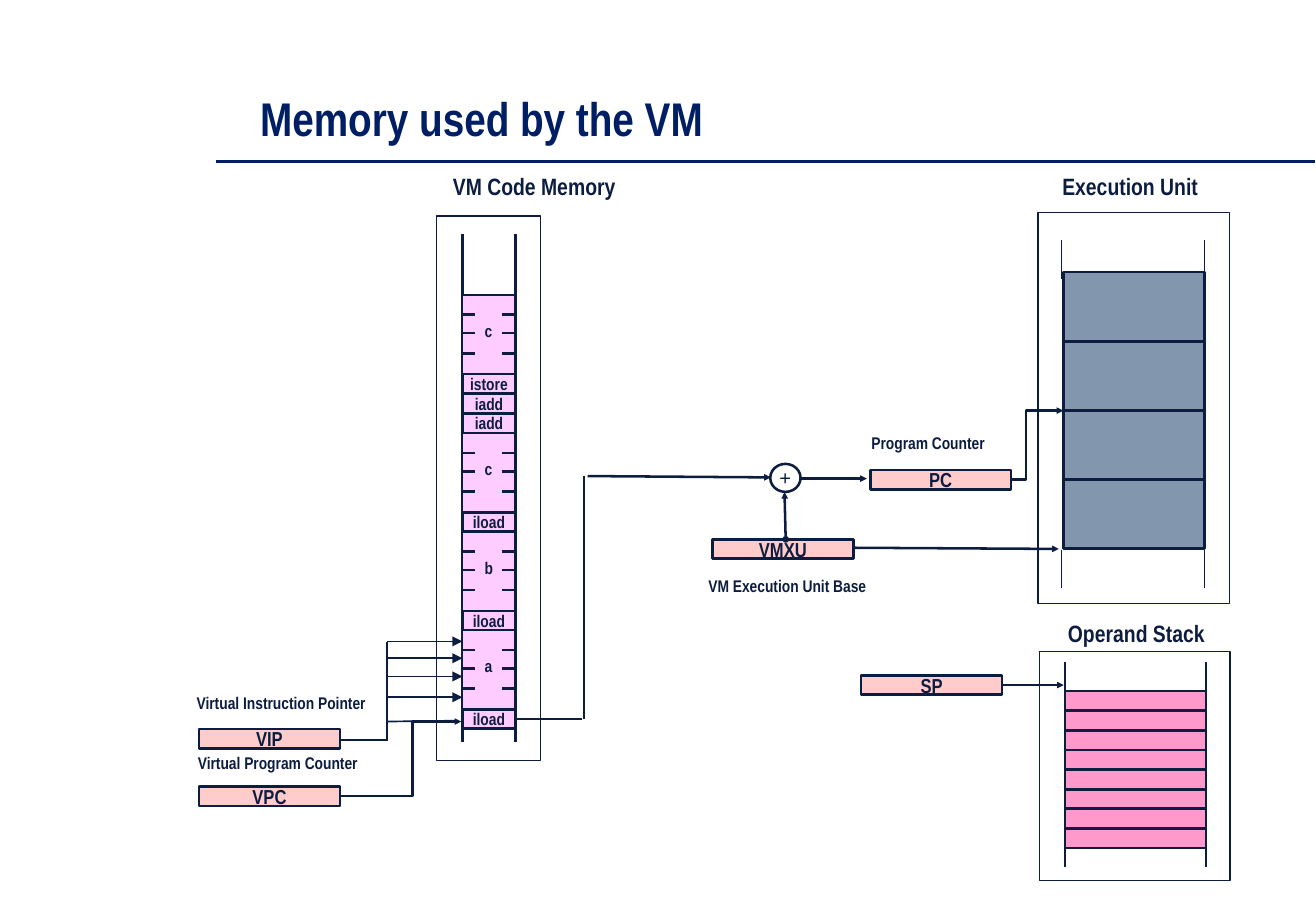
from lxml.etree import SubElement
from pptx import Presentation
from pptx.dml.color import RGBColor
from pptx.enum.shapes import MSO_CONNECTOR, MSO_SHAPE
from pptx.enum.text import MSO_ANCHOR, PP_ALIGN
from pptx.oxml.ns import qn
from pptx.util import Pt

INK = RGBColor(0x0D, 0x1D, 0x40)
NAVY = RGBColor(0x00, 0x1E, 0x64)
WHITE = RGBColor(0xFF, 0xFF, 0xFF)
PEACH = RGBColor(0xFF, 0xCC, 0xCC)
LILAC = RGBColor(0xFF, 0xCC, 0xFF)
PINK = RGBColor(0xFF, 0x99, 0xCC)
SLATE = RGBColor(0x82, 0x97, 0xAE)

CELL_W, CELL_H = 83.5, 11.5
CODE_X, CODE_W = 274.3, 31.4


def write(tf, text, size=10, color=INK, bold=True, font="Arial Narrow",
          align=PP_ALIGN.CENTER, anchor=MSO_ANCHOR.MIDDLE):
    tf.word_wrap = False
    tf.vertical_anchor = anchor
    tf.margin_left = tf.margin_right = Pt(7.2)
    tf.margin_top = tf.margin_bottom = Pt(3.6)
    p = tf.paragraphs[0]
    p.alignment = align
    r = p.add_run()
    r.text = text
    r.font.name, r.font.size, r.font.bold = font, Pt(size), bold
    r.font.color.rgb = color


class Diagram:
    def __init__(self, slide):
        self.shapes = slide.shapes

    def stroke(self, sp, width, color=INK, head=None, tail=None):
        sp.line.color.rgb = color
        sp.line.width = Pt(width)
        ln = sp.line._get_or_add_ln()
        scale = "sm" if width > 1 else "med"
        for tag, kind in (("a:headEnd", head), ("a:tailEnd", tail)):
            if kind:
                SubElement(ln, qn(tag), type=kind, w=scale, len=scale)

    def box(self, x, y, w, h, fill=None, text=None, width=1.5,
            kind=MSO_SHAPE.RECTANGLE, **fmt):
        sp = self.shapes.add_shape(kind, Pt(x), Pt(y), Pt(w), Pt(h))
        sp.shadow.inherit = False
        if fill is None:
            sp.fill.background()
        else:
            sp.fill.solid()
            sp.fill.fore_color.rgb = fill
        self.stroke(sp, width)
        if text:
            write(sp.text_frame, text, **fmt)

    def label(self, text, x, y, w, h, **fmt):
        sp = self.shapes.add_textbox(Pt(x), Pt(y), Pt(w), Pt(h))
        write(sp.text_frame, text, **fmt)

    def line(self, x1, y1, x2, y2, width=1.5, **ends):
        sp = self.shapes.add_connector(
            MSO_CONNECTOR.STRAIGHT, Pt(x1), Pt(y1), Pt(x2), Pt(y2))
        self.stroke(sp, width, **ends)
        SubElement(sp._element.spPr, qn("a:effectLst"))

    def elbow(self, x1, y1, x_turn, x2, y2):
        fb = self.shapes.build_freeform(Pt(x1), Pt(y1))
        fb.add_line_segments([(Pt(x_turn), Pt(y1)), (Pt(x_turn), Pt(y2)),
                              (Pt(x2), Pt(y2))], close=False)
        sp = fb.convert_to_shape()
        sp.shadow.inherit = False
        sp.fill.background()
        self.stroke(sp, 1.5, tail="triangle")

    def register(self, name, x, y):
        self.box(x, y, CELL_W, CELL_H, PEACH, name, size=12)

    def opcode(self, name, y):
        self.box(CODE_X, y, CODE_W, CELL_H, LILAC, name)

    def instruction(self, name, operand, y):
        """Four-byte operand field with its opcode below."""
        self.box(CODE_X, y, 31, 46.8, LILAC, width=1)
        self.opcode(name, y + 46.8)
        for dy in (11.5, 22.5, 34.4):
            for x in (CODE_X - 0.4, CODE_X + 23.3):
                self.line(x, y + dy, x + 7.9, y + dy)
        self.label(operand, 280.4, y + 11.5, 18.7, 19.4)


def main():
    prs = Presentation()
    prs.slide_width, prs.slide_height = Pt(780.48), Pt(540)
    d = Diagram(prs.slides.add_slide(prs.slide_layouts[6]))

    d.line(128.2, 95.8, 779.8, 95.8, 1.75, color=NAVY)
    d.label("Memory used by the VM", 147.2, 49.4, 300, 41, size=28, color=NAVY,
            align=PP_ALIGN.LEFT, anchor=MSO_ANCHOR.TOP)

    for frame in ((616.3, 386.2, 113.2, 136), (615.6, 126, 113.8, 231.8),
                  (259, 128, 61.6, 323)):
        d.box(*frame, WHITE, width=0.75)
    for text, x, y in (("VM Code Memory", 243.4, 97.9),
                       ("Execution Unit", 596.8, 97.9),
                       ("Operand Stack", 600.5, 363.2)):
        d.label(text, x, y, 147, 24.5, size=14)
    for text, x, y in (("Virtual Program Counter", 97.4, 442.6),
                       ("Program Counter", 483.1, 252.7),
                       ("VM Execution Unit Base", 399.6, 337.3),
                       ("Virtual Instruction Pointer", 99.4, 406.8)):
        d.label(text, x, y, 134.6, 19.4)
    for name, x, y in (("VPC", 118.1, 466.2), ("VMXU", 422.6, 319.7),
                       ("SP", 510.8, 400.3), ("VIP", 118.1, 432.2),
                       ("PC", 516.2, 278.6)):
        d.register(name, x, y)

    # Execution unit
    for i in range(4):
        d.box(630.9, 161.3 + 41 * i, CELL_W, 41, SLATE)
    for x in (629.6, 714.4):
        for y in (142.2, 325.8):
            d.line(x, y, x, y + 23, 1)

    # Operand stack
    for i in range(8):
        d.box(631.7, 409.7 + 11.65 * i, CELL_W, CELL_H, PINK)
    for x in (631.7, 715.3):
        d.line(x, 392.4, x, 514.1)

    # Address calculation
    d.box(456.8, 275, 18, 16.6, text="+", kind=MSO_SHAPE.OVAL,
          size=12, bold=False, font="Arial")
    d.line(466, 319.7, 465.3, 291.6, head="oval", tail="triangle")
    for wire in ((505.8, 324.7, 628, 325.4), (594.7, 406.1, 630.9, 406.1),
                 (475.2, 283.7, 514.1, 283.7), (348.5, 282.2, 457.2, 283)):
        d.line(*wire, tail="triangle")
    d.elbow(201.6, 471.9, 244.8, 273.6, 427.7)
    d.elbow(599.7, 284.4, 608.4, 630.7, 243.4)

    # Virtual instruction pointer
    d.line(201.6, 438.5, 230.4, 438.5, 1)
    d.line(229.7, 438.5, 229.7, 380.5, 1)
    d.line(229.7, 427.7, 271.4, 427.2, 1)
    for y in (380.2, 390.2, 401, 413.3):
        d.line(274.3, y, 229.7, y, 1, head="triangle")

    # Code memory
    for y in (233.5, 245.1):
        d.opcode("iadd", y)
    for x in (CODE_X, CODE_X + 31.3):
        d.line(x, 138.6, x, 439.9)
    for name, operand, y in (("iload", "a", 373.7), ("iload", "b", 315.3),
                             ("iload", "c", 256.9), ("istore", "c", 175)):
        d.instruction(name, operand, y)
    d.line(306, 426.2, 344.9, 426.2)
    d.line(346.5, 426.2, 346.5, 282.2)

    prs.save("out.pptx")


if __name__ == "__main__":
    main()
